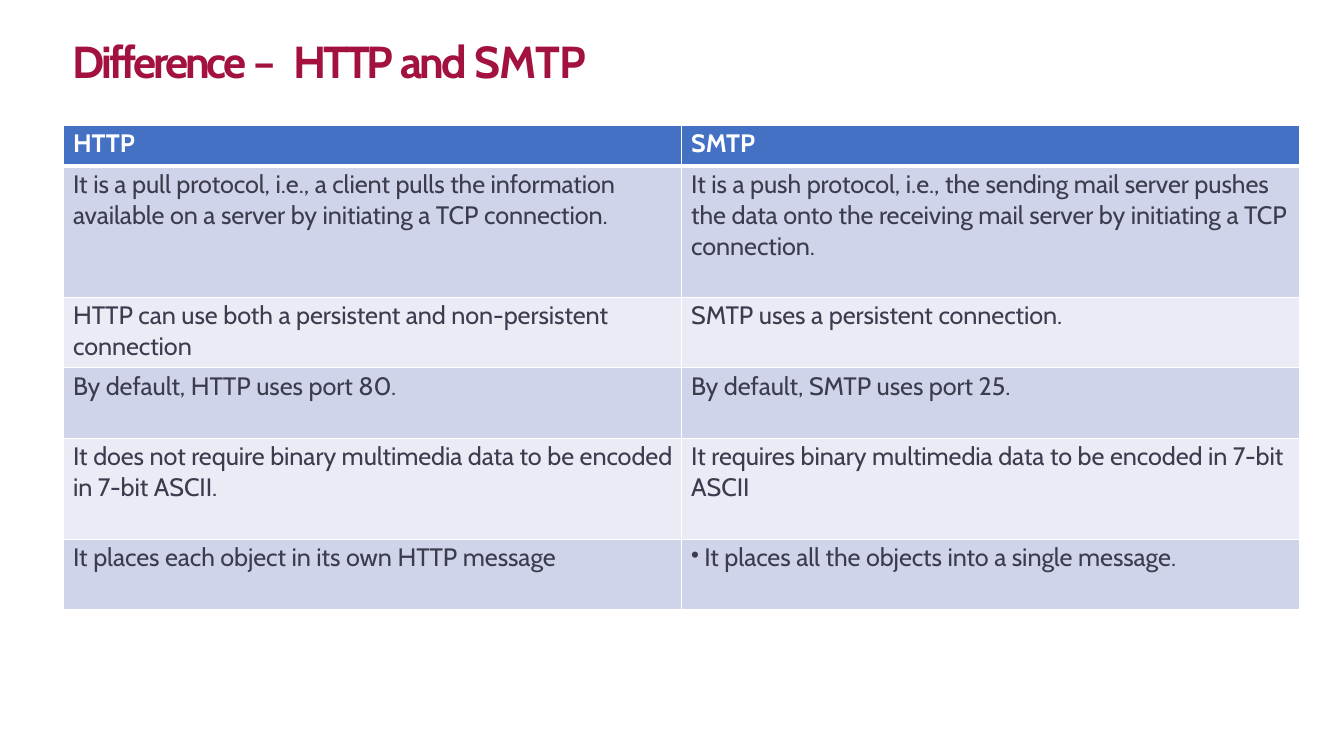
from dataclasses import dataclass

import lxml.etree
import pptx
import pptx.dml.color
import pptx.enum.text
import pptx.oxml.ns
import pptx.util

WIDE, HIGH = 13.33, 7.5
FONT = "Cabin"
HUES = {"title": "A3123E", "head": "4471C4", "dark": "CFD4EA",
        "light": "E9EBF5", "text": "3C3C4E", "white": "FFFFFF"}


@dataclass
class Row:
    share: float  # percent of the slide's height
    left: str
    right: str
    dot: bool = False  # bullet in the right cell


@dataclass
class Piece:
    text: str
    gap: float  # letter spacing in points


TITLE = [Piece("Difference ", -2.2), Piece("– ", 2.8), Piece("HTTP ", -2.5),
         Piece("and ", -2), Piece("SMTP", -0.5)]
ROWS = [
    Row(5.47, "HTTP", "SMTP"),
    Row(17.33, "It is a pull protocol, i.e., a client pulls the information\n"
        "available on a server by initiating a TCP connection.",
        "It is a push protocol, i.e., the sending mail server pushes  "
        "the data onto the receiving mail server by initiating a TCP  connection."),
    Row(9.33, "HTTP can use both a persistent and non-persistent  connection",
        "SMTP uses a persistent connection."),
    Row(9.33, "By default, HTTP uses port 80.", "By default, SMTP uses port 25."),
    Row(13.33, "It does not require binary multimedia data to be encoded  in 7-bit ASCII.",
        "It requires binary multimedia data to be encoded in 7-bit  ASCII"),
    Row(9.33, "It places each object in its own HTTP message",
        "It places all the objects into a single message.", dot=True),
]


def across(share: float) -> int:
    """Percent of the slide's width as a length."""
    return pptx.util.Inches(WIDE * share / 100)


def down(share: float) -> int:
    """Percent of the slide's height as a length."""
    return pptx.util.Inches(HIGH * share / 100)


def shade(name: str) -> pptx.dml.color.RGBColor:
    return pptx.dml.color.RGBColor.from_string(HUES[name])


def add_node(parent, tag: str, **attrs: str):
    return lxml.etree.SubElement(parent, pptx.oxml.ns.qn(tag), attrs)


def style(run, size: float, hue: str, bold: bool, gap: float) -> None:
    run.font.name = FONT
    run.font.size = pptx.util.Pt(size)
    run.font.bold = bold
    run.font.color.rgb = shade(hue)
    run.font._element.set("spc", str(round(gap * 100)))


def indent(para, left: float, first: float = 0) -> None:
    props = para._p.get_or_add_pPr()
    props.set("marL", str(pptx.util.Inches(left)))
    props.set("indent", str(pptx.util.Inches(first)))


def add_dot(para) -> None:
    indent(para, 0.23, -0.13)
    props = para._p.get_or_add_pPr()
    add_node(props, "a:buSzPct", val="94000")
    add_node(props, "a:buChar", char="•")


def edge(cell, top: float, base: float) -> None:
    """Draw the white borders, with the top and base widths in points."""
    props = cell._tc.get_or_add_tcPr()
    sides = {"a:lnL": 1, "a:lnR": 1, "a:lnT": top, "a:lnB": base}
    for place, (tag, width) in enumerate(sides.items()):
        line = add_node(props, tag, w=str(pptx.util.Pt(width)))
        add_node(add_node(line, "a:solidFill"), "a:srgbClr", val=HUES["white"])
        props.insert(place, line)


def fill_cell(cell, text: str, index: int, dot: bool) -> None:
    head = index == 0
    cell.fill.solid()
    cell.fill.fore_color.rgb = shade("head" if head else "dark" if index % 2 else "light")
    edge(cell, 3 if index == 1 else 1, 3 if head else 1)
    cell.margin_left = cell.margin_right = cell.margin_bottom = 0
    cell.margin_top = pptx.util.Inches(0.03)
    cell.text_frame.text = text
    for rank, para in enumerate(cell.text_frame.paragraphs):
        para.space_before = pptx.util.Pt(0 if rank else 2.4)
        if dot:
            add_dot(para)
        else:
            indent(para, 0.1)
        for run in para.runs:
            style(run, 18, "white" if head else "text", head, 0 if head else -0.06)


def add_title(slide) -> None:
    title = slide.shapes.title
    title.left, title.top = across(5.33), down(4.27)
    title.width, title.height = across(39.46), down(7.47)
    frame = title.text_frame
    frame.margin_left = frame.margin_right = frame.margin_bottom = 0
    frame.margin_top = pptx.util.Inches(0.01)
    frame.vertical_anchor = pptx.enum.text.MSO_ANCHOR.TOP
    frame.auto_size = pptx.enum.text.MSO_AUTO_SIZE.SHAPE_TO_FIT_TEXT
    para = frame.paragraphs[0]
    para.alignment = pptx.enum.text.PP_ALIGN.LEFT
    para.space_before = pptx.util.Pt(1)
    indent(para, 0.01)
    for piece in TITLE:
        run = para.add_run()
        run.text = piece.text
        style(run, 32, "title", True, piece.gap)


def add_grid(slide) -> None:
    half = 45.99
    frame = slide.shapes.add_table(
        len(ROWS), 2, across(4.69), down(16.53), across(2 * half),
        down(sum(row.share for row in ROWS)))
    table = frame.table
    for column in table.columns:
        column.width = across(half)
    for index, row in enumerate(ROWS):
        table.rows[index].height = down(row.share)
        fill_cell(table.cell(index, 0), row.left, index, False)
        fill_cell(table.cell(index, 1), row.right, index, row.dot)


def main() -> None:
    deck = pptx.Presentation()
    deck.slide_width = pptx.util.Inches(WIDE)
    deck.slide_height = pptx.util.Inches(HIGH)
    slide = deck.slides.add_slide(deck.slide_layouts[5])
    add_title(slide)
    add_grid(slide)
    deck.save("out.pptx")


if __name__ == "__main__":
    main()
